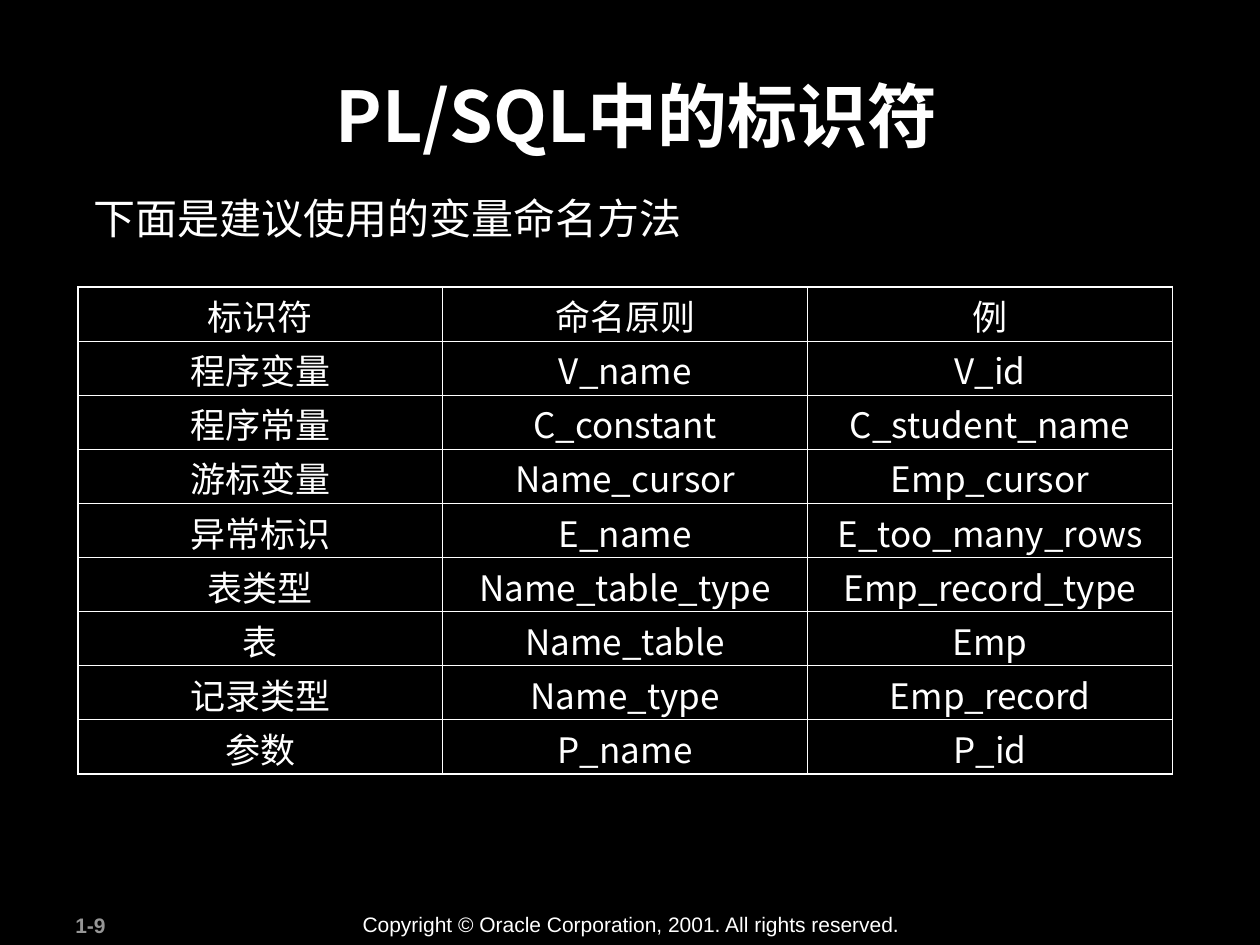
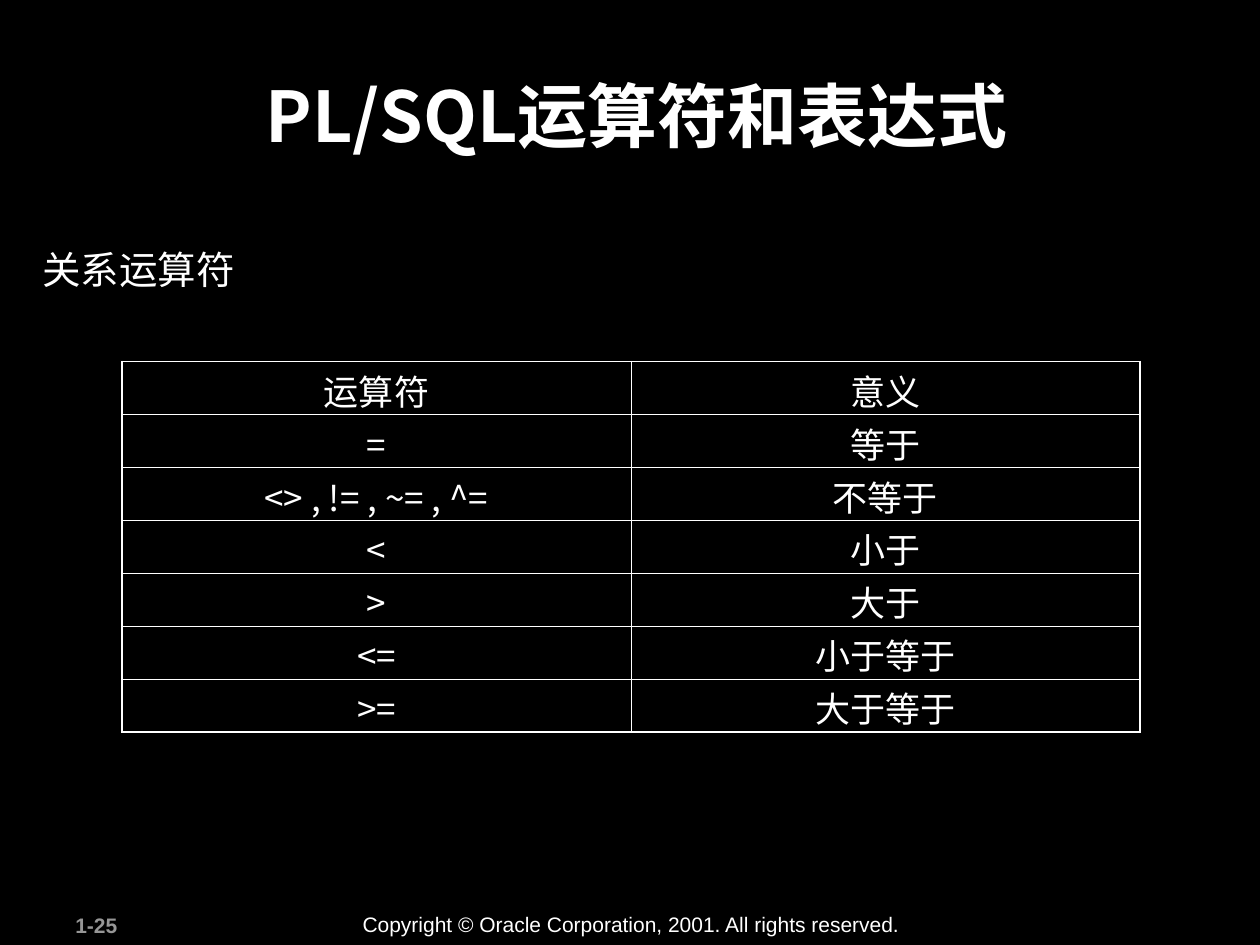
from lxml.etree import SubElement as Sub
from pptx import Presentation
from pptx.dml.color import RGBColor as RGB
from pptx.enum.text import PP_ALIGN as Align
from pptx.oxml.ns import qn
from pptx.util import Cm, Pt

BLACK = RGB(0, 0, 0)
WHITE = RGB(255, 255, 255)
GREY = RGB(0x96, 0x96, 0x96)
LATIN = "Arial"
HAN = "Noto Sans CJK SC"
RIGHTS = "Copyright © Oracle Corporation, 2001. All rights reserved."
THIN, THICK = Pt(0.45), Pt(1.08)

# Boxes are (left, top, width, height) in cm.
SLIDES = [
    {
        "title": " PL/SQL中的标识符",
        "lead": "下面是建议使用的变量命名方法",
        "lead_box": (1.63, 3.96, 14.76, 1.22),
        "lead_size": 24,
        "table_box": (1.57, 5.79, 22.07, 9.81),
        "rows": [
            ("标识符", "命名原则", "例"),
            ("程序变量", "V_name", "V_id"),
            ("程序常量", "C_constant", "C_student_name"),
            ("游标变量", "Name_cursor", "Emp_cursor"),
            ("异常标识", "E_name", "E_too_many_rows"),
            ("表类型", "Name_table_type", "Emp_record_type"),
            ("表", "Name_table", "Emp"),
            ("记录类型", "Name_type", "Emp_record"),
            ("参数", "P_name", "P_id"),
        ],
        "page": "1-9",
    },
    {
        "title": " PL/SQL运算符和表达式",
        "lead": "关系运算符",
        "lead_box": (0.61, 5.03, 8.18, 1.14),
        "lead_size": 22,
        "table_box": (2.46, 7.29, 20.52, 7.47),
        "rows": [
            ("运算符", "意义"),
            ("=", "等于"),
            ("<> , != , ~= , ^=", "不等于"),
            ("<", "小于"),
            (">", "大于"),
            ("<=", "小于等于"),
            (">=", "大于等于"),
        ],
        "page": "1-25",
    },
]


def style(para, size, font=HAN, color=WHITE, bold=False):
    for run in para.runs:
        run.font.size = Pt(size)
        run.font.name = font
        run.font.bold = bold
        run.font.color.rgb = color
        if font == HAN:
            Sub(run.font._element, qn("a:ea"), typeface=HAN)


def add_text(slide, box, text, size, align=Align.LEFT, inset=0, **look):
    frame = slide.shapes.add_textbox(*map(Cm, box)).text_frame
    frame.word_wrap = True
    frame.margin_top = Cm(inset)
    frame.text = text
    para = frame.paragraphs[0]
    para.alignment = align
    style(para, size, **look)
    return para


def set_edges(cell, widths):
    """Draw the cell's left, right, top and bottom borders."""
    props = cell._tc.get_or_add_tcPr()
    for side, width in zip("LRTB", widths):
        line = Sub(props, qn(f"a:ln{side}"), w=str(width))
        fill = Sub(line, qn("a:solidFill"))
        Sub(fill, qn("a:srgbClr"), val=str(WHITE))


def add_grid(slide, box, rows):
    left, top, width, height = map(Cm, box)
    high, wide = len(rows), len(rows[0])
    table = slide.shapes.add_table(high, wide, left, top, width, height).table
    table.first_row = table.horz_banding = False
    for r, row in enumerate(rows):
        for c, text in enumerate(row):
            cell = table.cell(r, c)
            outer = (c == 0, c == wide - 1, r == 0, r == high - 1)
            set_edges(cell, [THICK if out else THIN for out in outer])
            cell.fill.solid()
            cell.fill.fore_color.rgb = BLACK
            cell.margin_top, cell.margin_bottom = Cm(0.1), 0
            cell.text = text
            para = cell.text_frame.paragraphs[0]
            para.alignment = Align.CENTER
            para.line_spacing = 0.95
            style(para, 20)


def add_slide(deck, data):
    slide = deck.slides.add_slide(deck.slide_layouts[6])
    slide.background.fill.solid()
    slide.background.fill.fore_color.rgb = BLACK
    add_text(slide, (1.27, 18.26, 2.67, 0.76), data["page"], 12,
             inset=0.13, font=LATIN, color=GREY, bold=True)
    add_text(slide, (7.06, 18.24, 11.38, 0.76), RIGHTS, 12,
             inset=0.13, font=LATIN)
    add_text(slide, (2.39, 1.47, 20.57, 2.44), data["title"], 40,
             Align.CENTER, bold=True)
    lead = add_text(slide, data["lead_box"], data["lead"], data["lead_size"])
    lead.line_spacing = 0.95
    add_grid(slide, data["table_box"], data["rows"])


def main():
    deck = Presentation()
    deck.slide_width, deck.slide_height = Cm(25.4), Cm(19.05)
    for data in SLIDES:
        add_slide(deck, data)
    deck.save("out.pptx")


if __name__ == "__main__":
    main()
